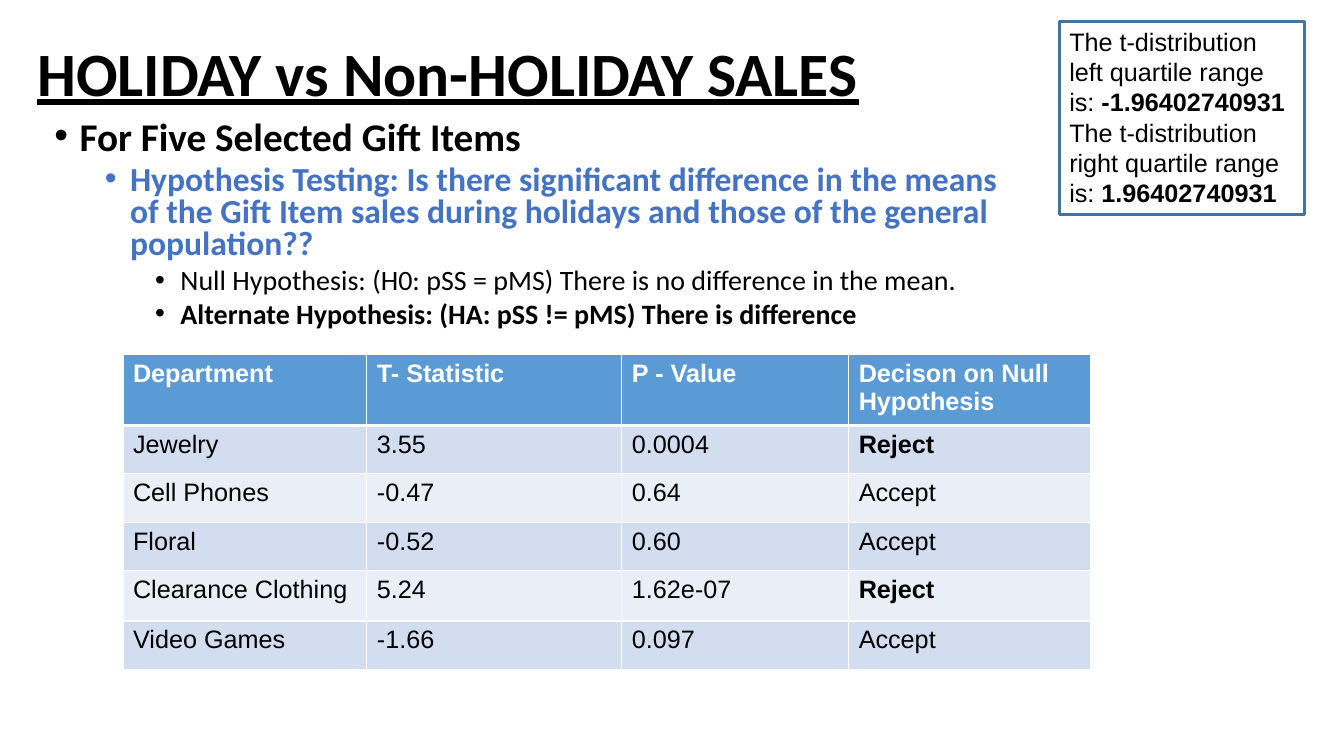
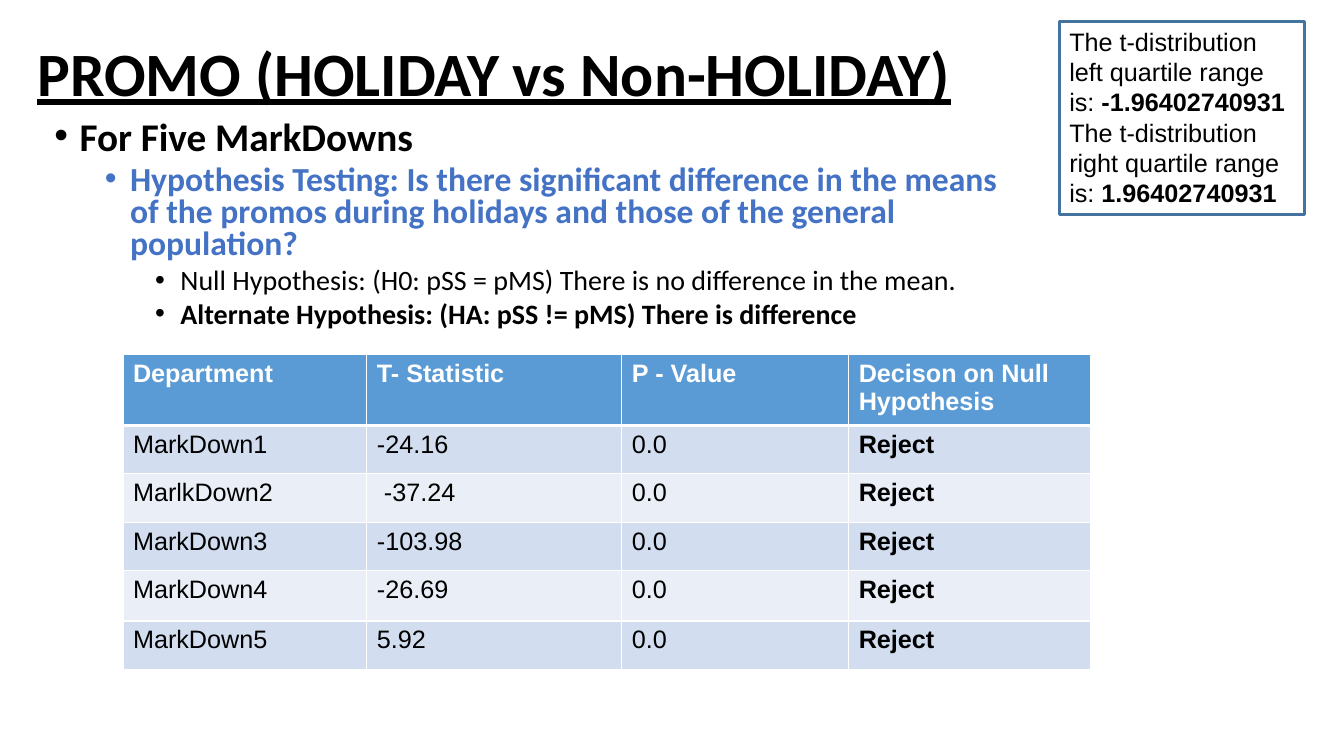
from lxml.etree import SubElement
from pptx import Presentation
from pptx.dml.color import RGBColor
from pptx.enum.shapes import MSO_SHAPE
from pptx.enum.text import MSO_ANCHOR as Anchor, MSO_AUTO_SIZE as AutoSize, PP_ALIGN as Align
from pptx.oxml.ns import qn
from pptx.util import Pt

COLORS = {
    "text": "000000",
    "question": "4472C4",
    "note_line": "43739E",
    "header": "5B9BD5",
    "odd_row": "D2DEEF",
    "even_row": "EAEFF7",
    "white": "FFFFFF",
}
COLUMN_WIDTHS = [174.24, 182.16, 162, 172.8]
ROW_HEIGHTS = [34.56, 34.56, 34.56, 34.56, 36, 34.56]
HEADER = ["Department", "T- Statistic", "P - Value", "Decison on Null Hypothesis"]
HYPOTHESES = [
    (2, "Null Hypothesis: (H0: pSS = pMS) There is no difference in the mean.", 20, "text", False),
    (2, "Alternate Hypothesis: (HA: pSS != pMS) There is difference", 20, "text", True),
]
QUARTILES = [("left", "-1.96402740931"), ("right", "1.96402740931")]
SLIDES = [
    {
        "title": "HOLIDAY vs Non-HOLIDAY SALES",
        "scope": "For Five Selected Gift Items",
        "question": "Hypothesis Testing: Is there significant difference in the means of the "
                    "Gift Item sales during holidays and those of the general population??",
        "results": [
            ["Jewelry", "3.55", "0.0004", "Reject"],
            ["Cell Phones", "-0.47", "0.64", "Accept"],
            ["Floral", "-0.52", "0.60", "Accept"],
            ["Clearance Clothing", "5.24", "1.62e-07", "Reject"],
            ["Video Games", "-1.66", "0.097", "Accept"],
        ],
    },
    {
        "title": "PROMO (HOLIDAY vs Non-HOLIDAY)",
        "scope": "For Five MarkDowns",
        "question": "Hypothesis Testing: Is there significant difference in the means of the "
                    "promos during holidays and those of the general population?",
        "results": [
            ["MarkDown1", "-24.16", "0.0", "Reject"],
            ["MarlkDown2", " -37.24", "0.0", "Reject"],
            ["MarkDown3", "-103.98", "0.0", "Reject"],
            ["MarkDown4", "-26.69", "0.0", "Reject"],
            ["MarkDown5", "5.92", "0.0", "Reject"],
        ],
    },
]


def add_text(paragraph, text, size=18, font="Arial", color="text", bold=False, underline=False):
    run = paragraph.add_run()
    run.text = text
    run.font.size = Pt(size)
    run.font.name = font
    run.font.bold = bold
    run.font.underline = underline
    run.font.color.rgb = RGBColor.from_string(COLORS[color])


def place(shape, left, top, width, height):
    shape.left, shape.top, shape.width, shape.height = Pt(left), Pt(top), Pt(width), Pt(height)


presentation = Presentation()
presentation.slide_width, presentation.slide_height = Pt(960), Pt(540)

for content in SLIDES:
    slide = presentation.slides.add_slide(presentation.slide_layouts[1])

    title = slide.shapes.title
    place(title, 19.44, 2.16, 828, 104.4)
    title.text_frame.vertical_anchor = Anchor.MIDDLE
    title.text_frame.auto_size = AutoSize.NONE
    paragraph = title.text_frame.paragraphs[0]
    paragraph.alignment = Align.LEFT
    paragraph.line_spacing = 0.9
    add_text(paragraph, content["title"], size=44, font="Calibri", bold=True, underline=True)

    body = slide.placeholders[1]
    place(body, 31.68, 82.8, 704.16, 375.12)
    frame = body.text_frame
    frame.auto_size = AutoSize.NONE
    bullets = [
        (0, content["scope"], 28, "text", True),
        (1, content["question"], 24, "question", True),
    ] + HYPOTHESES
    for index, (level, text, size, color, bold) in enumerate(bullets):
        paragraph = frame.add_paragraph() if index else frame.paragraphs[0]
        paragraph.level = level
        paragraph.line_spacing = 0.8
        paragraph.space_before = Pt(5 if level else 10)
        properties = paragraph._p.get_or_add_pPr()
        properties.set("marL", str(Pt(18 + 36 * level)))
        properties.set("indent", str(Pt(-18)))
        SubElement(properties, qn("a:buFont"), typeface="Arial")
        SubElement(properties, qn("a:buChar"), char="•")
        add_text(paragraph, text, size=size, font="Calibri", color=color, bold=bold)

    note = slide.shapes.add_shape(
        MSO_SHAPE.RECTANGLE, Pt(756.72), Pt(15.12), Pt(174.96), Pt(138.24))
    note.shadow.inherit = False
    note.fill.background()
    note.line.color.rgb = RGBColor.from_string(COLORS["note_line"])
    note.line.width = Pt(2.25)
    frame = note.text_frame
    frame.word_wrap = True
    frame.auto_size = AutoSize.SHAPE_TO_FIT_TEXT
    frame.vertical_anchor = Anchor.TOP
    for index, (side, value) in enumerate(QUARTILES):
        paragraph = frame.add_paragraph() if index else frame.paragraphs[0]
        paragraph.alignment = Align.LEFT
        add_text(paragraph, f"The t-distribution {side} quartile range is: ")
        add_text(paragraph, value, bold=True)

    rows = [HEADER] + content["results"]
    table = slide.shapes.add_table(
        len(rows), len(HEADER), Pt(87.84), Pt(253.44),
        Pt(sum(COLUMN_WIDTHS)), Pt(sum(ROW_HEIGHTS))).table
    for column, width in zip(table.columns, COLUMN_WIDTHS):
        column.width = Pt(width)
    for row_index, values in enumerate(rows):
        table.rows[row_index].height = Pt(ROW_HEIGHTS[row_index])
        is_header = row_index == 0
        fill = "header" if is_header else "odd_row" if row_index % 2 else "even_row"
        borders = {"lnL": 1, "lnR": 1, "lnT": 3 if row_index == 1 else 1, "lnB": 3 if is_header else 1}
        for column_index, text in enumerate(values):
            cell = table.cell(row_index, column_index)
            for side, width in borders.items():
                line = SubElement(cell._tc.get_or_add_tcPr(), qn(f"a:{side}"), w=str(Pt(width)))
                SubElement(SubElement(line, qn("a:solidFill")), qn("a:srgbClr"), val=COLORS["white"])
            cell.fill.solid()
            cell.fill.fore_color.rgb = RGBColor.from_string(COLORS[fill])
            add_text(cell.text_frame.paragraphs[0], text,
                     color="white" if is_header else "text",
                     bold=is_header or text == "Reject")

presentation.save("out.pptx")
